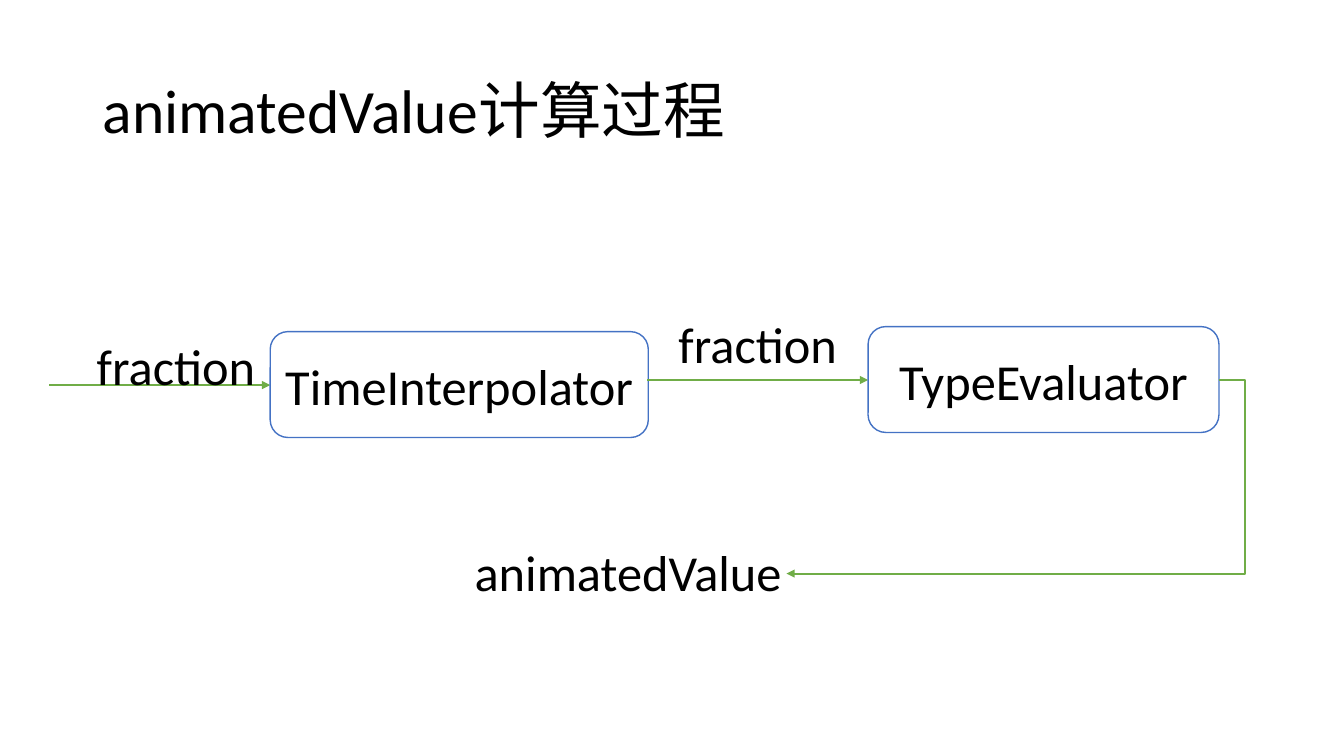
import pptx
import pptx.util
import pptx.dml.color
import pptx.enum.shapes
import pptx.enum.text
import pptx.oxml
import pptx.oxml.ns
from dataclasses import dataclass

Inches = pptx.util.Inches
Pt = pptx.util.Pt
Color = pptx.dml.color.RGBColor.from_string
Kind = pptx.enum.shapes.MSO_CONNECTOR
Fit = pptx.enum.text.MSO_AUTO_SIZE
Align = pptx.enum.text.PP_ALIGN
Anchor = pptx.enum.text.MSO_ANCHOR
tag = pptx.oxml.ns.qn


@dataclass
class Theme:
    font: str = "Calibri"
    ink: str = "000000"
    paper: str = "FFFFFF"
    edge: str = "4472C4"
    flow: str = "70AD47"
    head: int = 44
    body: int = 36


class Board:
    def __init__(self, slide, theme):
        self.slide = slide
        self.theme = theme

    def text(self, words, left, top, width, height, size):
        box = self.slide.shapes.add_textbox(
            Inches(left), Inches(top), Inches(width), Inches(height))
        para = box.text_frame.paragraphs[0]
        para.text = words
        para.font.name = self.theme.font
        para.font.size = Pt(size)
        para.font.color.rgb = Color(self.theme.ink)
        return box.text_frame, para

    def title(self, words, left, top, width, height):
        frame, para = self.text(words, left, top, width, height, self.theme.head)
        frame.word_wrap = True
        frame.vertical_anchor = Anchor.MIDDLE
        para.line_spacing = 0.9

    def label(self, words, left, top, width):
        frame, para = self.text(words, left, top, width, 0.71, self.theme.body)
        frame.word_wrap = False
        frame.auto_size = Fit.SHAPE_TO_FIT_TEXT
        para.alignment = Align.CENTER

    def step(self, words, left, top, width, inner):
        box = self.slide.shapes.add_shape(
            pptx.enum.shapes.MSO_SHAPE.ROUNDED_RECTANGLE,
            Inches(left), Inches(top), Inches(width), Inches(1.05))
        box.shadow.inherit = False
        box.fill.solid()
        box.fill.fore_color.rgb = Color(self.theme.paper)
        box.line.color.rgb = Color(self.theme.edge)
        box.line.width = Pt(1)
        self.label(words, left + (width - inner) / 2, top + 0.18, inner)

    def arrow(self, start, end, bend=None):
        kind = Kind.STRAIGHT if bend is None else Kind.ELBOW
        link = self.slide.shapes.add_connector(
            kind, *[Inches(n) for n in (*start, *end)])
        link.line.color.rgb = Color(self.theme.flow)
        link.line.width = Pt(1.5)
        props = link._element.spPr
        stroke = props.find(tag("a:ln"))
        stroke.append(stroke.makeelement(tag("a:tailEnd"), {"type": "triangle"}))
        props.append(props.makeelement(tag("a:effectLst"), {}))
        if bend is not None:
            guides = props.find(".//" + tag("a:avLst"))
            guides.append(guides.makeelement(
                tag("a:gd"),
                {"name": "adj1", "fmla": f"val {round(bend * 100000)}"}))


def main():
    deck = pptx.Presentation()
    deck.slide_width = Inches(13.33)
    deck.slide_height = Inches(7.5)
    board = Board(deck.slides.add_slide(deck.slide_layouts[6]), Theme())

    board.title("animatedValue计算过程", 0.92, 0.4, 11.5, 1.45)
    board.arrow((0.49, 3.82), (2.68, 3.82))
    board.label("animatedValue", 4.59, 5.32, 3.28)
    board.step("TimeInterpolator", 2.68, 3.29, 3.75, 3.68)
    board.arrow((6.42, 3.77), (8.61, 3.77))
    board.label("fraction", 6.62, 3.06, 1.79)
    board.step("TypeEvaluator", 8.61, 3.24, 3.48, 3.2)
    board.arrow((12.09, 3.77), (7.8, 5.69), -0.06)
    board.label("fraction", 0.85, 3.28, 1.79)

    deck.save("out.pptx")


if __name__ == "__main__":
    main()
